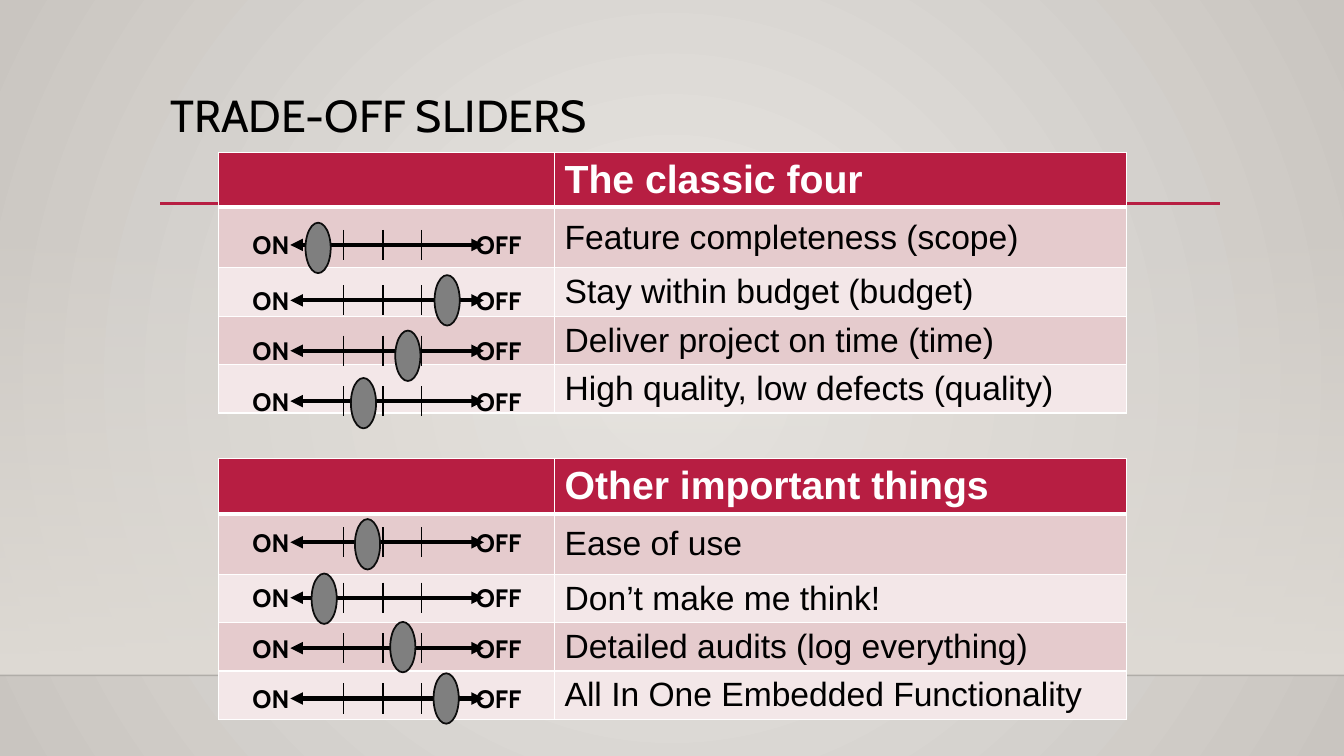
"""Build the trade-off sliders slide."""
from dataclasses import dataclass

from lxml import etree
from pptx import Presentation
from pptx.dml.color import RGBColor
from pptx.enum.shapes import MSO_CONNECTOR, MSO_SHAPE
from pptx.enum.text import MSO_ANCHOR, PP_ALIGN
from pptx.oxml.ns import qn
from pptx.util import Inches, Pt

STRAIGHT = MSO_CONNECTOR.STRAIGHT
RECTANGLE, OVAL = MSO_SHAPE.RECTANGLE, MSO_SHAPE.OVAL
TOP, MIDDLE = MSO_ANCHOR.TOP, MSO_ANCHOR.MIDDLE
LEFT, RIGHT = PP_ALIGN.LEFT, PP_ALIGN.RIGHT

TITLE = "TRADE-OFF SLIDERS"
TABLES = [
    {
        "top": 1.51,
        "first_track": 2.43,
        "heading": "The classic four",
        "rows": [
            ("Feature completeness (scope)", (3.03, 2.21)),
            ("Stay within budget (budget)", (4.31, 2.73)),
            ("Deliver project on time (time)", (3.92, 3.28)),
            ("High quality, low defects (quality)", (3.48, 3.75)),
        ],
    },
    {
        "top": 4.55,
        "first_track": 5.38,
        "heading": "Other important things",
        "rows": [
            ("Ease of use", (3.52, 5.15)),
            ("Don’t make me think!", (3.09, 5.69)),
            ("Detailed audits (log everything)", (3.87, 6.17)),
            ("All In One Embedded Functionality", (4.3, 6.68)),
        ],
    },
]


@dataclass(frozen=True)
class Theme:
    """Colours, fonts and type sizes."""
    accent: str = "B71E42"
    bands: tuple = ("E5CBCD", "F3E7E8")
    white: str = "FFFFFF"
    black: str = "000000"
    knob: str = "7F7F7F"
    knob_line: str = "0C0C0C"
    glow: str = "EBE9E6"
    edge: str = "C9C5C0"
    floor: str = "DFDBD5"
    display_font: str = "Cabin"
    table_font: str = "Arial"
    title_size: int = 32
    heading_size: int = 28
    row_size: int = 24
    label_size: int = 18


THEME = Theme()
SLIDE_WIDTH, SLIDE_HEIGHT = 13.33, 7.5
TABLE_LEFT, COLUMN_WIDTHS = 2.17, (3.33, 5.67)
ROW_HEIGHTS = (0.53, 0.6, 0.47, 0.47, 0.47)
ROW_INSETS = (0.04, 0.1, 0.04, 0.04, 0.04)
TRACK_OFFSETS = (0, 0.55, 1.05, 1.55)
TRACK_LEFT, TRACK_RIGHT = 2.88, 4.8
TICKS, TICK_HEIGHT = (3.8, 3.41, 4.18), 0.3
TRACK_LABELS = [("ON", 2.44, 0.43, RIGHT), ("OFF", 4.72, 0.53, LEFT)]
KNOB_SIZE = (0.25, 0.5)


def add_node(parent, tag, **attributes):
    return etree.SubElement(parent, qn(tag), **attributes)


def add_colour(parent, colour, alpha=100):
    node = add_node(parent, "a:srgbClr", val=colour)
    if alpha < 100:
        add_node(node, "a:alpha", val=str(alpha * 1000))


def set_gradient(owner, fill, stops, radial=False):
    fill.gradient()
    gradient = owner.element.find(".//" + qn("a:gradFill"))
    for child in list(gradient):
        gradient.remove(child)
    stop_list = add_node(gradient, "a:gsLst")
    for position, colour, alpha in stops:
        add_colour(add_node(stop_list, "a:gs", pos=str(position * 1000)), colour, alpha)
    if radial:
        shade = add_node(gradient, "a:path", path="circle")
        add_node(shade, "a:fillToRect", l="50000", t="50000", r="50000", b="50000")
    else:
        add_node(gradient, "a:lin", ang="5400000", scaled="0")


def add_line(shapes, start, end, colour, width, alpha=100, arrows=False):
    line = shapes.add_connector(STRAIGHT, *map(Inches, start + end))
    line.line.width = Pt(width)
    line.line.color.rgb = RGBColor.from_string(colour)
    properties = line.element.spPr
    outline = properties.find(qn("a:ln"))
    if alpha < 100:
        add_node(outline.find(".//" + qn("a:srgbClr")), "a:alpha", val=str(alpha * 1000))
    if arrows:
        for tag in ("a:headEnd", "a:tailEnd"):
            add_node(outline, tag, type="triangle")
    add_node(properties, "a:effectLst")


def write_run(paragraph, text, font, size, colour, bold=False):
    run = paragraph.add_run()
    run.text = text
    run.font.name, run.font.size, run.font.bold = font, Pt(size), bold
    run.font.color.rgb = RGBColor.from_string(colour)


def add_text(shapes, box, text, size, insets=(0, 0), bold=False, align=LEFT, spacing=1.0):
    frame = shapes.add_textbox(*map(Inches, box)).text_frame
    frame.word_wrap = True
    frame.vertical_anchor = TOP
    frame.margin_left = frame.margin_right = Inches(insets[0])
    frame.margin_top = frame.margin_bottom = Inches(insets[1])
    paragraph = frame.paragraphs[0]
    paragraph.alignment, paragraph.line_spacing = align, spacing
    write_run(paragraph, text, THEME.display_font, size, THEME.black, bold)


def style_cell(cell, row):
    properties = cell._tc.get_or_add_tcPr()
    thick_sides = {0: "a:lnB", 1: "a:lnT"}
    for tag in ("a:lnL", "a:lnR", "a:lnT", "a:lnB"):
        width = 3 if thick_sides.get(row) == tag else 1
        border = add_node(properties, tag, w=str(Pt(width)))
        add_colour(add_node(border, "a:solidFill"), THEME.white)
    cell.fill.solid()
    colour = THEME.bands[(row - 1) % 2] if row else THEME.accent
    cell.fill.fore_color.rgb = RGBColor.from_string(colour)
    cell.vertical_anchor = MIDDLE
    cell.margin_left = cell.margin_right = Inches(0.1)
    cell.margin_top = cell.margin_bottom = Inches(ROW_INSETS[row])


def add_priority_table(shapes, content):
    labels = [content["heading"]] + [label for label, _ in content["rows"]]
    box = (TABLE_LEFT, content["top"], sum(COLUMN_WIDTHS), sum(ROW_HEIGHTS))
    table = shapes.add_table(len(labels), 2, *map(Inches, box)).table
    for column, width in zip(table.columns, COLUMN_WIDTHS):
        column.width = Inches(width)
    for row, label in enumerate(labels):
        table.rows[row].height = Inches(ROW_HEIGHTS[row])
        for column in range(2):
            style_cell(table.cell(row, column), row)
        size, colour = (THEME.row_size, THEME.black) if row else (THEME.heading_size, THEME.white)
        paragraph = table.cell(row, 1).text_frame.paragraphs[0]
        write_run(paragraph, label, THEME.table_font, size, colour, row == 0)


def add_track(slide, middle):
    shapes = slide.shapes.add_group_shape().shapes
    top, bottom = middle - TICK_HEIGHT / 2, middle + TICK_HEIGHT / 2
    add_line(shapes, (TRACK_LEFT, middle), (TRACK_RIGHT, middle), THEME.black, 3, arrows=True)
    for text, left, width, align in TRACK_LABELS:
        box = (left, top, width, TICK_HEIGHT)
        add_text(shapes, box, text, THEME.label_size, bold=True, align=align)
    for tick in TICKS:
        add_line(shapes, (tick, top), (tick, bottom), THEME.black, 1)


def add_knob(shapes, position):
    knob = shapes.add_shape(OVAL, *map(Inches, position + KNOB_SIZE))
    knob.shadow.inherit = False
    knob.fill.solid()
    knob.fill.fore_color.rgb = RGBColor.from_string(THEME.knob)
    knob.line.color.rgb = RGBColor.from_string(THEME.knob_line)
    knob.line.width = Pt(1.25)


def add_backdrop(slide):
    set_gradient(slide, slide.background.fill,
                 [(0, THEME.glow, 100), (100, THEME.edge, 100)], radial=True)
    floor = slide.shapes.add_shape(RECTANGLE, *map(Inches, (0, 2.21, SLIDE_WIDTH, 4.49)))
    floor.shadow.inherit = False
    floor.line.fill.background()
    set_gradient(floor, floor.fill, [(0, THEME.floor, 0), (100, THEME.floor, 100)])
    add_line(slide.shapes, (0, 6.7), (SLIDE_WIDTH, 6.7), THEME.black, 1, alpha=20)
    add_line(slide.shapes, (1.59, 2.02), (12.1, 2.02), THEME.accent, 2.5)


def main():
    presentation = Presentation()
    presentation.slide_width, presentation.slide_height = Inches(SLIDE_WIDTH), Inches(SLIDE_HEIGHT)
    slide = presentation.slides.add_slide(presentation.slide_layouts[6])
    add_backdrop(slide)
    add_text(slide.shapes, (1.59, 0.88, 10.5, 1.15), TITLE, THEME.title_size, (0.1, 0.05), spacing=0.9)
    for content in TABLES:
        add_priority_table(slide.shapes, content)
        for offset, (_, knob) in zip(TRACK_OFFSETS, content["rows"]):
            add_track(slide, content["first_track"] + offset)
            add_knob(slide.shapes, knob)
    presentation.save("out.pptx")


if __name__ == "__main__":
    main()
